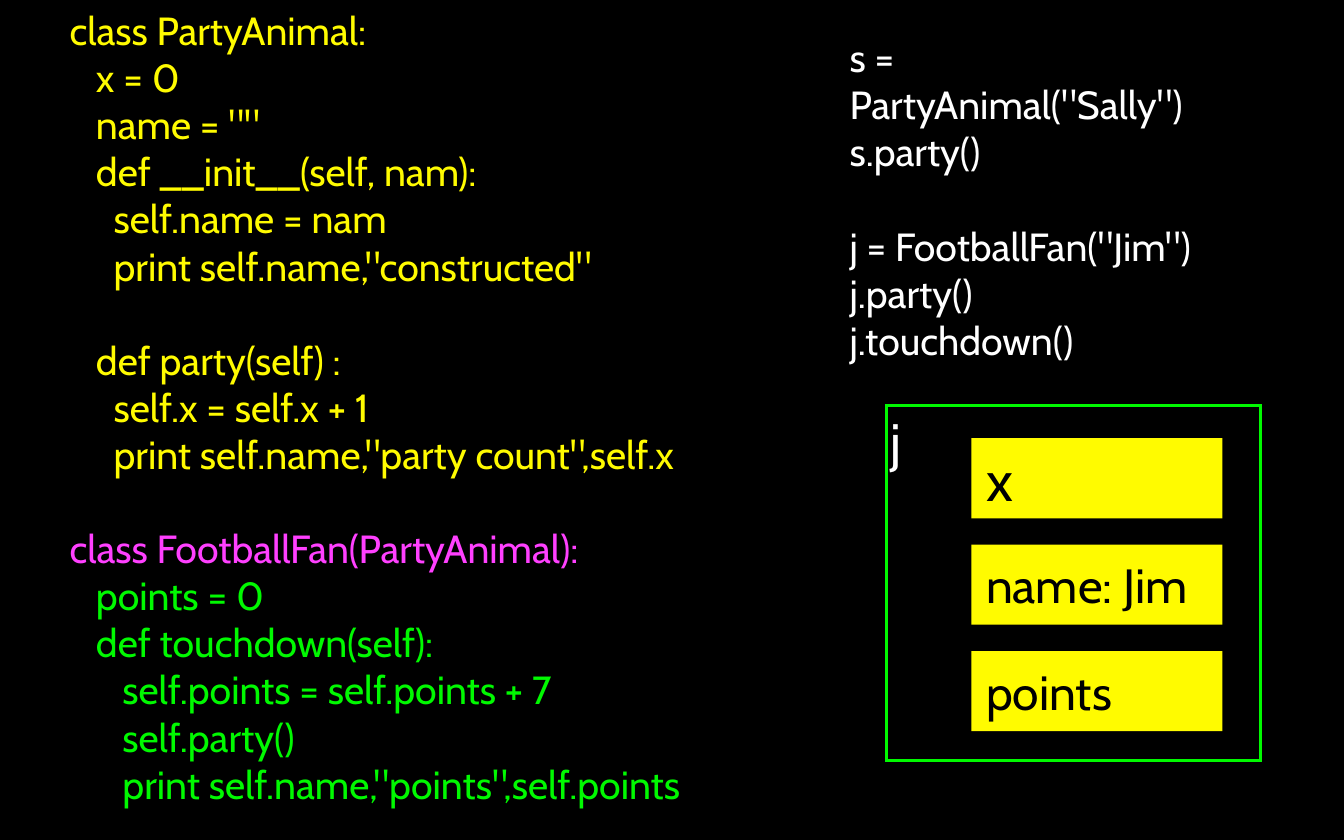
from lxml import etree
from pptx import Presentation
from pptx.dml.color import RGBColor
from pptx.enum.shapes import MSO_SHAPE
from pptx.enum.text import MSO_ANCHOR, PP_ALIGN
from pptx.oxml.ns import qn
from pptx.util import Cm, Pt

RECTANGLE = MSO_SHAPE.RECTANGLE
TOP, MIDDLE = MSO_ANCHOR.TOP, MSO_ANCHOR.MIDDLE
LEFT = PP_ALIGN.LEFT

COLORS = {
    "black": "000000",
    "white": "FFFFFF",
    "yellow": "FFFB00",
    "pink": "FF40FF",
    "green": "00F900",
}
FONT = "Cabin"
CODE_SIZE = 49
CODE_LINE = 59
INSET = 0.15

CLASS_BLOCKS = [
    [
        ("class PartyAnimal:", "yellow"),
        ("   x = 0", "yellow"),
        ('   name = ""', "yellow"),
        ("   def __init__(self, nam):", "yellow"),
        ("     self.name = nam", "yellow"),
        ('     print self.name,"constructed"', "yellow"),
    ],
    [
        ("   def party(self) :", "yellow"),
        ("     self.x = self.x + 1", "yellow"),
        ('     print self.name,"party count",self.x', "yellow"),
    ],
    [
        ("class FootballFan(PartyAnimal):", "pink"),
        ("   points = 0", "green"),
        ("   def touchdown(self):", "green"),
        ("      self.points = self.points + 7", "green"),
        ("      self.party()", "green"),
        ('      print self.name,"points",self.points', "green"),
    ],
]
CALL_BLOCKS = [
    [('s = PartyAnimal("Sally")', "white"), ("s.party()", "white")],
    [
        ('j = FootballFan("Jim")', "white"),
        ("j.party()", "white"),
        ("j.touchdown()", "white"),
    ],
]
CODE_AREAS = [
    (CLASS_BLOCKS, (2.92, 0.1, 30, 35.66)),
    (CALL_BLOCKS, (37.31, 1.29, 17.2, 14.9)),
]

OBJECT_NAME = "j"
OBJECT_BOX = (39.1, 17.88, 16.48, 15.64)
FIELDS = [("x", 71), ("name: Jim", 60), ("points", 60)]
FIELD_LEFT, FIELD_TOP, FIELD_WIDTH, FIELD_HEIGHT = 42.83, 19.32, 11.07, 3.53
FIELD_PITCH = 4.69
FIELD_INDENT = 0.65


def color(name):
    return RGBColor.from_string(COLORS[name])


def set_frame(frame, anchor, left_inset=INSET):
    frame.word_wrap = True
    frame.vertical_anchor = anchor
    frame.margin_left = Cm(left_inset)
    frame.margin_right = frame.margin_top = frame.margin_bottom = Cm(INSET)


def write_line(paragraph, text, size, color_name):
    paragraph.text = text
    paragraph.alignment = LEFT
    paragraph.font.name = FONT
    paragraph.font.size = Pt(size)
    paragraph.font.color.rgb = color(color_name)


def add_code(slide, blocks, area):
    frame = slide.shapes.add_textbox(*map(Cm, area)).text_frame
    set_frame(frame, MIDDLE)
    for block_index, block in enumerate(blocks):
        for line_index, (text, color_name) in enumerate(block):
            first = block_index == line_index == 0
            paragraph = frame.paragraphs[0] if first else frame.add_paragraph()
            write_line(paragraph, text, CODE_SIZE, color_name)
            if block_index and not line_index:
                paragraph.space_before = Pt(CODE_LINE)


def add_box(slide, area, text, size, text_color, anchor, left_inset):
    box = slide.shapes.add_shape(RECTANGLE, *map(Cm, area))
    box.shadow.inherit = False
    set_frame(box.text_frame, anchor, left_inset)
    write_line(box.text_frame.paragraphs[0], text, size, text_color)
    return box


def main():
    deck = Presentation()
    deck.slide_width, deck.slide_height = Cm(59.26), Cm(37.03)
    slide = deck.slides.add_slide(deck.slide_layouts[6])
    slide.background.fill.solid()
    slide.background.fill.fore_color.rgb = color("black")

    for blocks, area in CODE_AREAS:
        add_code(slide, blocks, area)

    instance = add_box(slide, OBJECT_BOX, OBJECT_NAME, 64, "white", TOP, INSET)
    instance.fill.background()
    instance.line.color.rgb = color("green")
    instance.line.width = Pt(4)
    etree.SubElement(instance.get_or_add_ln(), qn("a:miter"), lim="800000")

    for index, (label, size) in enumerate(FIELDS):
        top = FIELD_TOP + index * FIELD_PITCH
        area = (FIELD_LEFT, top, FIELD_WIDTH, FIELD_HEIGHT)
        field = add_box(slide, area, label, size, "black", MIDDLE, FIELD_INDENT)
        field.fill.solid()
        field.fill.fore_color.rgb = color("yellow")
        field.line.fill.background()

    deck.save("out.pptx")


if __name__ == "__main__":
    main()
